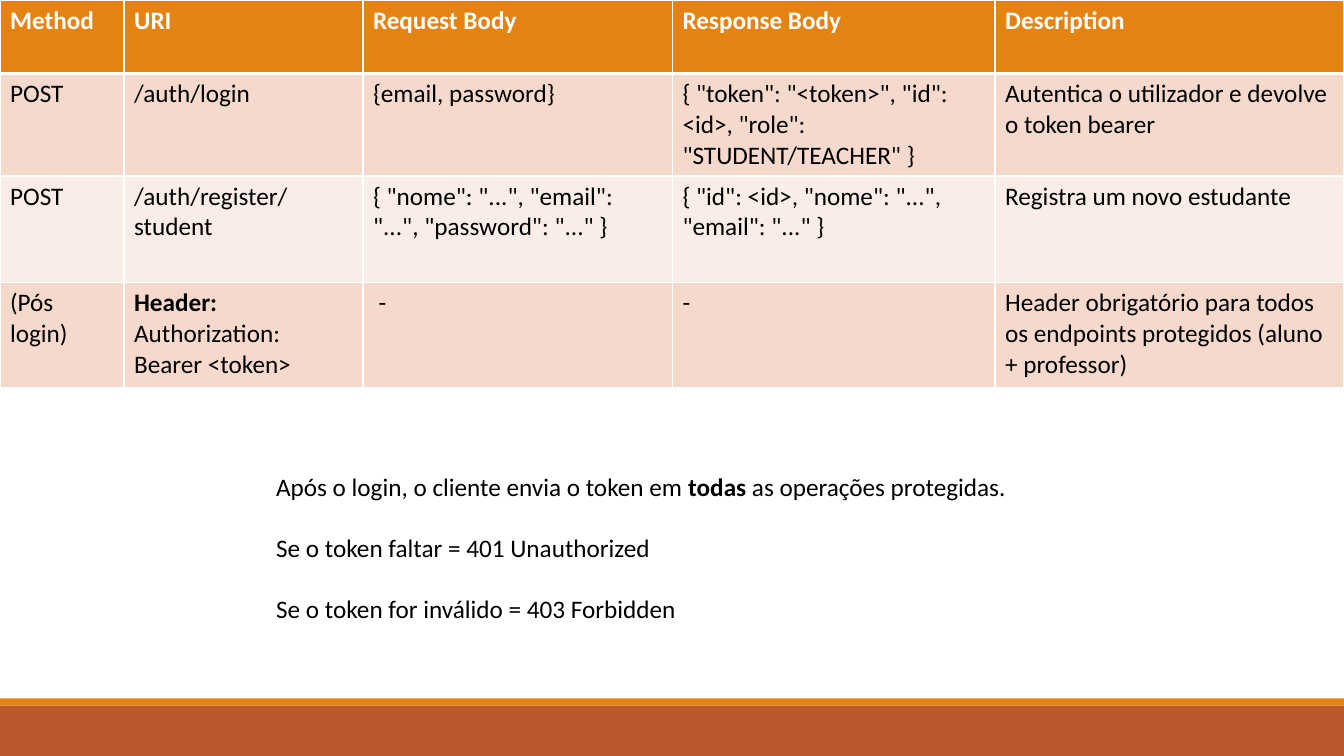
"""Build a slide with a table of login endpoints and notes on the token."""
import pptx
import pptx.dml.color
import pptx.enum.shapes
import pptx.oxml
import pptx.oxml.ns
import pptx.util

Inches = pptx.util.Inches
Pt = pptx.util.Pt

WIDTHS = [1.23, 2.37, 3.07, 3.2, 3.46]
HEIGHTS = [0.73, 0.73, 1.06, 1.04]
FILLS = ["E48312", "F5D9CC", "FAEDE7", "F5D9CC"]
ROWS = [
    ["**Method**", "**URI**", "**Request Body**", "**Response Body**", "**Description**"],
    ["POST", "/auth/login", "{email, password}",
     '{ "token": "<token>", "id": <id>, "role": "STUDENT/TEACHER" }',
     "Autentica o utilizador e devolve o token bearer"],
    ["POST", "/auth/register/student",
     '{ "nome": "...", "email": "...", "password": "..." }',
     '{ "id": <id>, "nome": "...", "email": "..." }',
     "Registra um novo estudante"],
    ["(Pós login)", "**Header: **Authorization: Bearer <token>", " -", "-",
     "Header obrigatório para todos os endpoints protegidos (aluno + professor)"],
]
NOTES = [
    "Após o login, o cliente envia o token em **todas** as operações protegidas.",
    "Se o token faltar = 401 Unauthorized",
    "Se o token for inválido = 403 Forbidden",
]
FONT = {"name": "Calibri", "size": Pt(18)}


def color(code):
    return pptx.dml.color.RGBColor.from_string(code)


def paint(item, code):
    item.fill.solid()
    item.fill.fore_color.rgb = color(code)


def write(para, text, code="000000"):
    for index, part in enumerate(text.split("**")):
        if part:
            run = para.add_run()
            run.text = part
            for key, value in {**FONT, "bold": index % 2 == 1}.items():
                setattr(run.font, key, value)
            run.font.color.rgb = color(code)


def border(cell, top, bottom):
    props = cell._tc.get_or_add_tcPr()
    sides = {"L": 1, "R": 1, "T": top, "B": bottom}
    for index, (side, width) in enumerate(sides.items()):
        line = pptx.oxml.parse_xml(
            f'<a:ln{side} {pptx.oxml.ns.nsdecls("a")} w="{Pt(width)}">'
            f'<a:solidFill><a:srgbClr val="FFFFFF"/></a:solidFill></a:ln{side}>')
        props.insert(index, line)


def band(slide, top, height, code):
    shape = slide.shapes.add_shape(
        pptx.enum.shapes.MSO_SHAPE.RECTANGLE,
        0, Inches(top), Inches(13.33), Inches(height))
    shape.shadow.inherit = False
    paint(shape, code)
    shape.line.fill.background()


def grid(slide):
    frame = slide.shapes.add_table(
        len(ROWS), len(WIDTHS), 0, 0, Inches(sum(WIDTHS)), Inches(sum(HEIGHTS)))
    table = frame.table
    for column, width in zip(table.columns, WIDTHS):
        column.width = Inches(width)
    for r, texts in enumerate(ROWS):
        table.rows[r].height = Inches(HEIGHTS[r])
        for c, text in enumerate(texts):
            cell = table.cell(r, c)
            paint(cell, FILLS[r])
            border(cell, 3 if r == 1 else 1, 3 if r == 0 else 1)
            write(cell.text_frame.paragraphs[0], text, "000000" if r else "FFFFFF")


def notes(slide):
    box = slide.shapes.add_textbox(
        Inches(2.64), Inches(4.63), Inches(8.05), Inches(1.92))
    frame = box.text_frame
    frame.word_wrap = True
    for index, text in enumerate(NOTES):
        para = frame.add_paragraph() if index else frame.paragraphs[0]
        if index:
            para.space_before = Pt(22)
        write(para, text)


def main():
    deck = pptx.Presentation()
    deck.slide_width, deck.slide_height = Inches(13.33), Inches(7.5)
    slide = deck.slides.add_slide(deck.slide_layouts[6])
    band(slide, 7, 0.5, "BD582C")
    band(slide, 6.93, 0.07, "E48312")
    grid(slide)
    notes(slide)
    deck.save("out.pptx")


if __name__ == "__main__":
    main()
